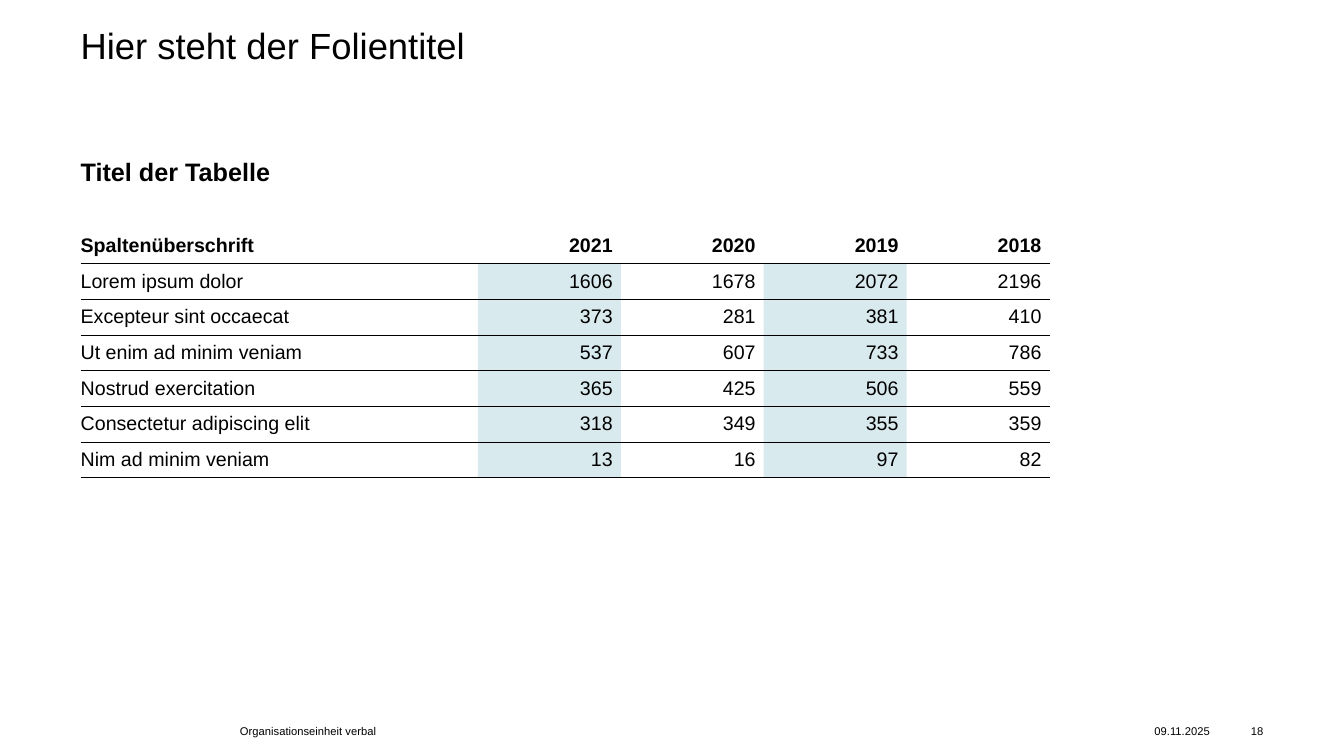
import lxml.etree
import pptx
import pptx.dml.color
import pptx.enum.text
import pptx.oxml.ns
import pptx.util

Inches = pptx.util.Inches
ALIGN = pptx.enum.text.PP_ALIGN
ANCHOR = pptx.enum.text.MSO_ANCHOR
COLORS = {"text": "000000", "line": "000000", "plain": "FFFFFF", "accent": "007894"}
ACCENT_ALPHA = 15

HEADER = ["Spaltenüberschrift", "2021", "2020", "2019", "2018"]
ROWS = [
    ["Lorem ipsum dolor", 1606, 1678, 2072, 2196],
    ["Excepteur sint occaecat", 373, 281, 381, 410],
    ["Ut enim ad minim veniam", 537, 607, 733, 786],
    ["Nostrud exercitation", 365, 425, 506, 559],
    ["Consectetur adipiscing elit", 318, 349, 355, 359],
    ["Nim ad minim veniam", 13, 16, 97, 82],
]


def rgb(name):
    return pptx.dml.color.RGBColor.from_string(COLORS[name])


def write_text(text_frame, text, size=14, bold=False, align=ALIGN.LEFT, spacing=None):
    paragraph = text_frame.paragraphs[0]
    paragraph.alignment = align
    paragraph.line_spacing = spacing
    run = paragraph.add_run()
    run.text = text
    run.font.name = "Arial"
    run.font.size = pptx.util.Pt(size)
    run.font.bold = bold
    run.font.color.rgb = rgb("text")


def add_text(slide, box, text, anchor=ANCHOR.TOP, **text_format):
    shape = slide.shapes.add_textbox(*map(Inches, box))
    text_frame = shape.text_frame
    text_frame.word_wrap = True
    text_frame.vertical_anchor = anchor
    text_frame.margin_left = text_frame.margin_right = 0
    text_frame.margin_top = text_frame.margin_bottom = 0
    write_text(text_frame, text, **text_format)


def add_child(parent, tag, **attributes):
    return lxml.etree.SubElement(parent, pptx.oxml.ns.qn(tag), **attributes)


def set_borders(cell, top, bottom):
    properties = cell._tc.get_or_add_tcPr()
    widths = {"a:lnL": 0, "a:lnR": 0, "a:lnT": top, "a:lnB": bottom}
    for position, (tag, width) in enumerate(widths.items()):
        line = add_child(properties, tag, w=str(pptx.util.Pt(width)))
        if width:
            fill = add_child(line, "a:solidFill")
            add_child(fill, "a:srgbClr", val=COLORS["line"])
        else:
            add_child(line, "a:noFill")
        properties.insert(position, line)


def fill_cell(cell, name):
    cell.fill.solid()
    cell.fill.fore_color.rgb = rgb(name)
    if name == "accent":
        color = cell._tc.tcPr.find(".//" + pptx.oxml.ns.qn("a:srgbClr"))
        add_child(color, "a:alpha", val=str(ACCENT_ALPHA * 1000))


def add_data_table(slide, box, label_width=3.94):
    left, top, width, height = box
    rows = [HEADER] + ROWS
    frame = slide.shapes.add_table(len(rows), len(HEADER), *map(Inches, box))
    table = frame.table
    table.horz_banding = False
    value_width = (width - label_width) / (len(HEADER) - 1)
    for index, column in enumerate(table.columns):
        column.width = Inches(value_width if index else label_width)
    for row_index, values in enumerate(rows):
        table.rows[row_index].height = Inches(height / len(rows))
        for column_index, value in enumerate(values):
            cell = table.cell(row_index, column_index)
            cell.margin_left = cell.margin_top = cell.margin_bottom = 0
            cell.margin_right = Inches(0.08)
            cell.vertical_anchor = ANCHOR.MIDDLE
            write_text(cell.text_frame, str(value), bold=row_index == 0,
                       align=ALIGN.RIGHT if column_index else ALIGN.LEFT)
            if row_index == 0:
                cell.fill.background()
                set_borders(cell, 0, 1)
            else:
                fill_cell(cell, "accent" if column_index % 2 else "plain")
                set_borders(cell, 1 if row_index == 1 else 0.5, 0.5)


def add_headings(slide, box):
    left, top, width, height = box
    add_text(slide, (left, top, width, 0.98), "Hier steht der Folientitel", size=26, spacing=0.9)
    add_text(slide, (left, top + height - 0.43, width, 0.43), "Titel der Tabelle", size=18, bold=True)


def add_footer(slide, box):
    left, top, width, height = box
    right = left + width
    parts = [
        (left, 5.91, "Organisationseinheit verbal", ALIGN.LEFT),
        (right - 1.08, 0.67, "09.11.2025", ALIGN.LEFT),
        (right - 0.35, 0.35, "18", ALIGN.RIGHT),
    ]
    for part_left, part_width, text, align in parts:
        add_text(slide, (part_left, top, part_width, height), text,
                 anchor=ANCHOR.MIDDLE, size=8, align=align)


def main():
    presentation = pptx.Presentation()
    presentation.slide_width = Inches(13.33)
    presentation.slide_height = Inches(7.5)
    slide = presentation.slides.add_slide(presentation.slide_layouts[6])
    add_headings(slide, (0.8, 0.28, 11.73, 1.7))
    add_data_table(slide, (0.8, 2.26, 9.61, 2.48))
    add_footer(slide, (2.38, 7.13, 10.15, 0.24))
    presentation.save("out.pptx")


if __name__ == "__main__":
    main()
